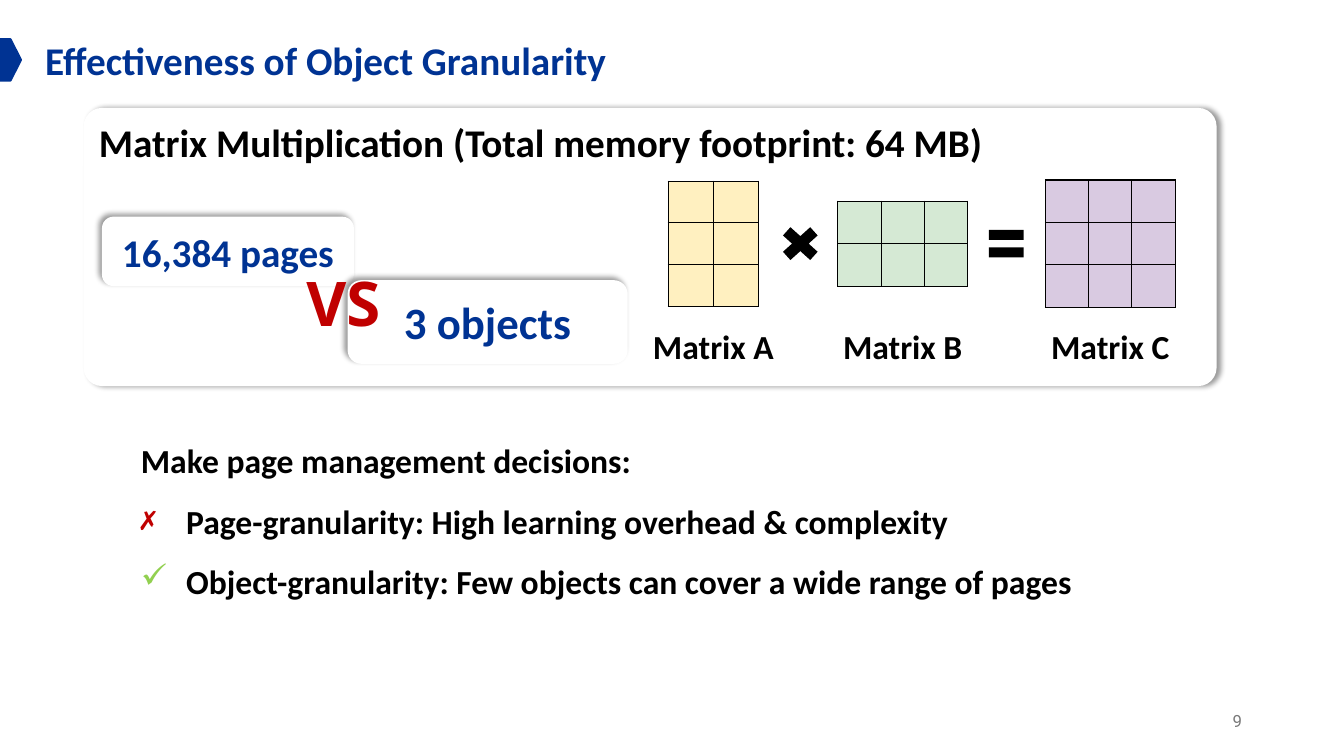
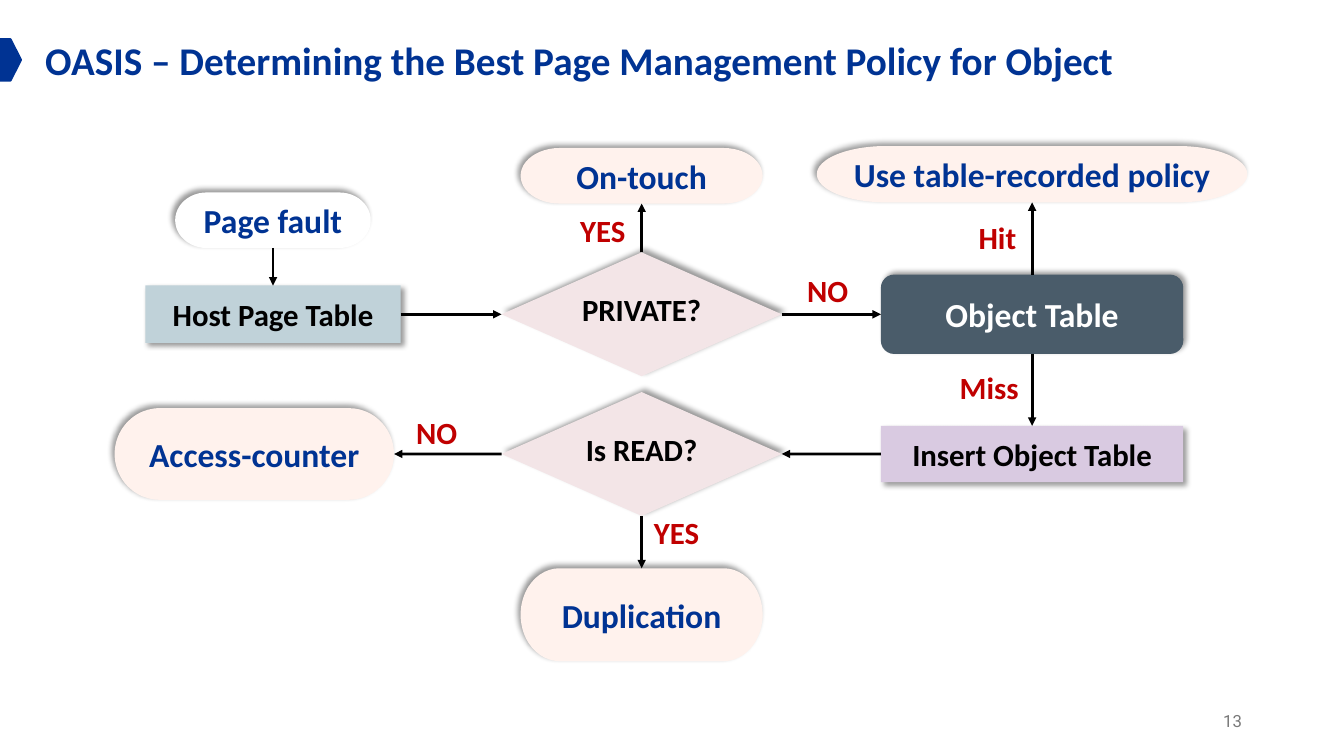
from lxml import etree
from pptx import Presentation
from pptx.dml.color import RGBColor
from pptx.enum.shapes import MSO_CONNECTOR, MSO_SHAPE
from pptx.enum.text import MSO_ANCHOR, PP_ALIGN
from pptx.oxml.ns import qn
from pptx.util import Cm, Pt

STRAIGHT = MSO_CONNECTOR.STRAIGHT
RECT, ROUNDED = MSO_SHAPE.RECTANGLE, MSO_SHAPE.ROUNDED_RECTANGLE
DECISION, TERMINATOR = MSO_SHAPE.FLOWCHART_DECISION, MSO_SHAPE.FLOWCHART_TERMINATOR
PENTAGON = MSO_SHAPE.PENTAGON
TIMES, EQUALS = MSO_SHAPE.MATH_MULTIPLY, MSO_SHAPE.MATH_EQUAL
LEFT, CENTER, RIGHT = PP_ALIGN.LEFT, PP_ALIGN.CENTER, PP_ALIGN.RIGHT
TOP, MIDDLE = MSO_ANCHOR.TOP, MSO_ANCHOR.MIDDLE

COLORS = {
    "navy": "003393", "black": "000000", "white": "FFFFFF", "gray": "797979",
    "red": "C00000", "green": "92D050", "yellow": "FFF0C0", "mint": "D5E9D4",
    "lilac": "D9CAE1", "blue gray": "C0D2D9", "rose": "F3E5E7",
    "peach": "FFF2ED", "slate": "4A5C6A",
}

# Slide 1; all positions and sizes are in centimetres
FOOTPRINT = "Matrix Multiplication (Total memory footprint: 64 MB)"
MATRIX_CENTER_Y, MATRIX_LABEL_TOP = 6.14, 8.08
MATRICES = [  # name, rows, columns, cell size, colour, centre x
    ("Matrix A", 3, 2, (1.14, 1.05), "yellow", 17.98),
    ("Matrix B", 2, 3, (1.09, 1.07), "mint", 22.75),
    ("Matrix C", 3, 3, (1.09, 1.07), "lilac", 27.98),
]
OPERATORS = [  # symbol, centre x, size, adjustments
    (TIMES, 20.17, (1.32, 1.19), []),
    (EQUALS, 25.36, (1.19, 1.07), [0.235, 0.173]),
]
COUNTS = [  # text, box, text size
    ("16,384 pages", (2.57, 5.46, 6.35, 1.75), 28),
    ("3 objects", (8.76, 7.06, 7.06, 2.11), 32),
]
DECISIONS_HEADING = "Make page management decisions:"
DECISION_POINTS = [
    ("✗", "red", "Page-granularity: High learning overhead & complexity"),
    ("✓", "green", "Object-granularity: Few objects can cover a wide range of pages"),
]

# Slide 2
COL_1, COL_2, COL_3 = 6.88, 16.17, 26.01
ROW_1, ROW_2 = 7.92, 11.44
STYLES = {  # preset, fill, text colour, text size, shadow direction
    "start": (TERMINATOR, "white", "navy", 24, 225),
    "outcome": (TERMINATOR, "peach", "navy", 24, 225),
    "question": (DECISION, "rose", "black", 22, 315),
    "page table": (RECT, "blue gray", "black", 22, 45),
    "lookup": (ROUNDED, "slate", "white", 24, 315),
    "insert": (RECT, "lilac", "black", 22, 45),
}
STEPS = [  # text, style, centre, size
    ("Page fault", "start", (COL_1, 5.55), (4.93, 1.4)),
    ("Host Page Table", "page table", (COL_1, ROW_1), (6.43, 1.45)),
    ("PRIVATE?", "question", (COL_2, ROW_1), (7.06, 3.12)),
    ("On-touch", "outcome", (COL_2, 4.43), (6.1, 1.4)),
    ("Object Table", "lookup", (COL_3, ROW_1), (7.62, 2)),
    ("Use table-recorded policy", "outcome", (COL_3, 4.39), (10.85, 1.42)),
    ("Insert Object Table", "insert", (COL_3, ROW_2), (7.62, 1.42)),
    ("Is READ?", "question", (COL_2, ROW_2), (7.06, 3.12)),
    ("Access-counter", "outcome", (6.41, ROW_2), (7.04, 2.31)),
    ("Duplication", "outcome", (COL_2, 15.49), (6.1, 2.34)),
]
SITES = {"up": (0, 2), "left": (1, 3), "down": (2, 0), "right": (3, 1)}
FLOWS = [  # from, direction, to
    ("Page fault", "down", "Host Page Table"),
    ("Host Page Table", "right", "PRIVATE?"),
    ("PRIVATE?", "up", "On-touch"),
    ("PRIVATE?", "right", "Object Table"),
    ("Object Table", "up", "Use table-recorded policy"),
    ("Object Table", "down", "Insert Object Table"),
    ("Insert Object Table", "left", "Is READ?"),
    ("Is READ?", "left", "Access-counter"),
    ("Is READ?", "down", "Duplication"),
]
ANSWERS = [  # text, left, top, alignment
    ("YES", 13.96, 5.21, RIGHT),
    ("NO", 20.09, 6.73, LEFT),
    ("Hit", 23.81, 5.38, RIGHT),
    ("Miss", 23.87, 9.17, RIGHT),
    ("NO", 10.24, 10.29, LEFT),
    ("YES", 16.23, 12.83, LEFT),
]


def rgb(color):
    return RGBColor.from_string(COLORS[color])


def centered(x, y, width, height):
    """Return the box of this size around the centre (x, y)."""
    return x - width / 2, y - height / 2, width, height


def add_xml(parent, tag, **attributes):
    values = {name: str(value) for name, value in attributes.items()}
    return etree.SubElement(parent, qn(tag), values)


def style(paragraph, size, color, align=LEFT, font="Calibri", bold=True):
    paragraph.alignment = align
    paragraph.font.size = Pt(size)
    paragraph.font.name = font
    paragraph.font.bold = bold
    paragraph.font.color.rgb = rgb(color)


def add_text(slide, box, text, size, color, align=LEFT, anchor=TOP, **font):
    frame = slide.shapes.add_textbox(*map(Cm, box)).text_frame
    frame.word_wrap = True
    frame.vertical_anchor = anchor
    frame.text = text
    style(frame.paragraphs[0], size, color, align, **font)
    return frame


def add_block(slide, preset, box, fill, shadow=None, adjustments=()):
    """Add a filled preset shape; shadow is its direction in degrees."""
    block = slide.shapes.add_shape(preset, *map(Cm, box))
    for i, value in enumerate(adjustments):
        block.adjustments[i] = value
    block.fill.solid()
    block.fill.fore_color.rgb = rgb(fill)
    block.line.fill.background()
    block.shadow.inherit = False
    if shadow is not None:
        effects = block._element.spPr.find(qn("a:effectLst"))
        outer = add_xml(effects, "a:outerShdw", blurRad=Pt(4), dist=Pt(3),
                        dir=shadow * 60000, algn="ctr", rotWithShape=0)
        tint = add_xml(outer, "a:srgbClr", val=COLORS["black"])
        add_xml(tint, "a:alpha", val=40000)
    return block


def write_in(block, text, size, color, align=CENTER, anchor=MIDDLE):
    block.text_frame.text = text
    block.text_frame.vertical_anchor = anchor
    style(block.text_frame.paragraphs[0], size, color, align)


def add_matrix(slide, rows, columns, cell_size, color, center_x):
    width, height = cell_size
    box = centered(center_x, MATRIX_CENTER_Y, columns * width, rows * height)
    grid = slide.shapes.add_table(rows, columns, *map(Cm, box)).table
    grid.first_row = grid.horz_banding = False
    for cell in grid.iter_cells():
        cell.margin_top = cell.margin_bottom = 0
        properties = cell._tc.get_or_add_tcPr()
        for side in ("a:lnL", "a:lnR", "a:lnT", "a:lnB"):
            border = add_xml(properties, side, w=Pt(1))
            add_xml(add_xml(border, "a:solidFill"), "a:srgbClr", val=COLORS["black"])
        cell.fill.solid()
        cell.fill.fore_color.rgb = rgb(color)


def add_point(frame, mark, mark_color, text):
    paragraph = frame.add_paragraph()
    paragraph.text = text
    style(paragraph, 24, "black")
    paragraph.line_spacing = 1.5
    properties = paragraph._p.get_or_add_pPr()
    properties.set("marL", str(Cm(1.14)))
    properties.set("indent", str(-Cm(1.14)))
    bullet_color = etree.Element(qn("a:buClr"))
    add_xml(bullet_color, "a:srgbClr", val=COLORS[mark_color])
    bullet = etree.Element(qn("a:buChar"), char=mark)
    default_font = properties.find(qn("a:defRPr"))
    default_font.addprevious(bullet_color)
    default_font.addprevious(bullet)


def add_flow(slide, source, direction, target):
    arrow = slide.shapes.add_connector(STRAIGHT, 0, 0, 0, 0)
    source_site, target_site = SITES[direction]
    arrow.begin_connect(source, source_site)
    arrow.end_connect(target, target_site)
    arrow.line.width = Pt(2)
    arrow.line.color.rgb = rgb("black")
    add_xml(arrow.line._get_or_add_ln(), "a:tailEnd", type="triangle")
    add_xml(arrow._element.spPr, "a:effectLst")


def new_slide(deck, title, number):
    slide = deck.slides.add_slide(deck.slide_layouts[6])
    add_text(slide, (0.89, 0.79, 31.9, 1.45), title, 28, "navy")
    add_text(slide, (23.93, 17.65, 7.62, 1.02), number, 12, "gray", RIGHT, MIDDLE,
             font="Roboto", bold=False)
    marker = add_block(slide, PENTAGON, (0, 0.99, 0.53, 1.04), "navy")
    marker.line.color.rgb = rgb("navy")
    marker.line.width = Pt(1.5)
    return slide


def build_granularity(deck):
    slide = new_slide(deck, "Effectiveness of Object Granularity", "9")
    panel = add_block(slide, ROUNDED, (2.11, 2.72, 28.55, 7.01), "white", 0, [0.066])
    write_in(panel, FOOTPRINT, 28, "black", LEFT, TOP)
    for name, rows, columns, cell_size, color, x in MATRICES:
        add_matrix(slide, rows, columns, cell_size, color, x)
        add_text(slide, (x - 2, MATRIX_LABEL_TOP, 4, 1.27), name, 24, "black", CENTER)
    for symbol, x, size, adjustments in OPERATORS:
        add_block(slide, symbol, centered(x, MATRIX_CENTER_Y, *size), "black",
                  adjustments=adjustments)
    for text, box, size in COUNTS:
        write_in(add_block(slide, ROUNDED, box, "white", 225), text, size, "navy")
    add_text(slide, (7.47, 6.55, 4.62, 2.13), "VS", 44, "red", font="Open Sans")
    decisions = add_text(slide, (3.3, 10.46, 27.08, 4.72), DECISIONS_HEADING, 24, "black")
    decisions.paragraphs[0].line_spacing = 1.5
    for point in DECISION_POINTS:
        add_point(decisions, *point)


def build_policy_flow(deck):
    slide = new_slide(
        deck, "OASIS – Determining the Best Page Management Policy for Object", "13")
    steps = {}
    for text, role, center, size in STEPS:
        preset, fill, color, text_size, shadow = STYLES[role]
        step = add_block(slide, preset, centered(*center, *size), fill, shadow)
        write_in(step, text, text_size, color)
        if role == "question":
            frame = step.text_frame
            frame.margin_left = frame.margin_top = frame.margin_right = 0
            frame.margin_bottom = Cm(0.25)
        steps[text] = step
    for source, direction, target in FLOWS:
        add_flow(slide, steps[source], direction, steps[target])
    for text, left, top, align in ANSWERS:
        add_text(slide, (left, top, 2.05, 1.19), text, 22, "red", align)


def main():
    deck = Presentation()
    deck.slide_width, deck.slide_height = Cm(33.87), Cm(19.05)
    build_granularity(deck)
    build_policy_flow(deck)
    deck.save("out.pptx")


if __name__ == "__main__":
    main()
